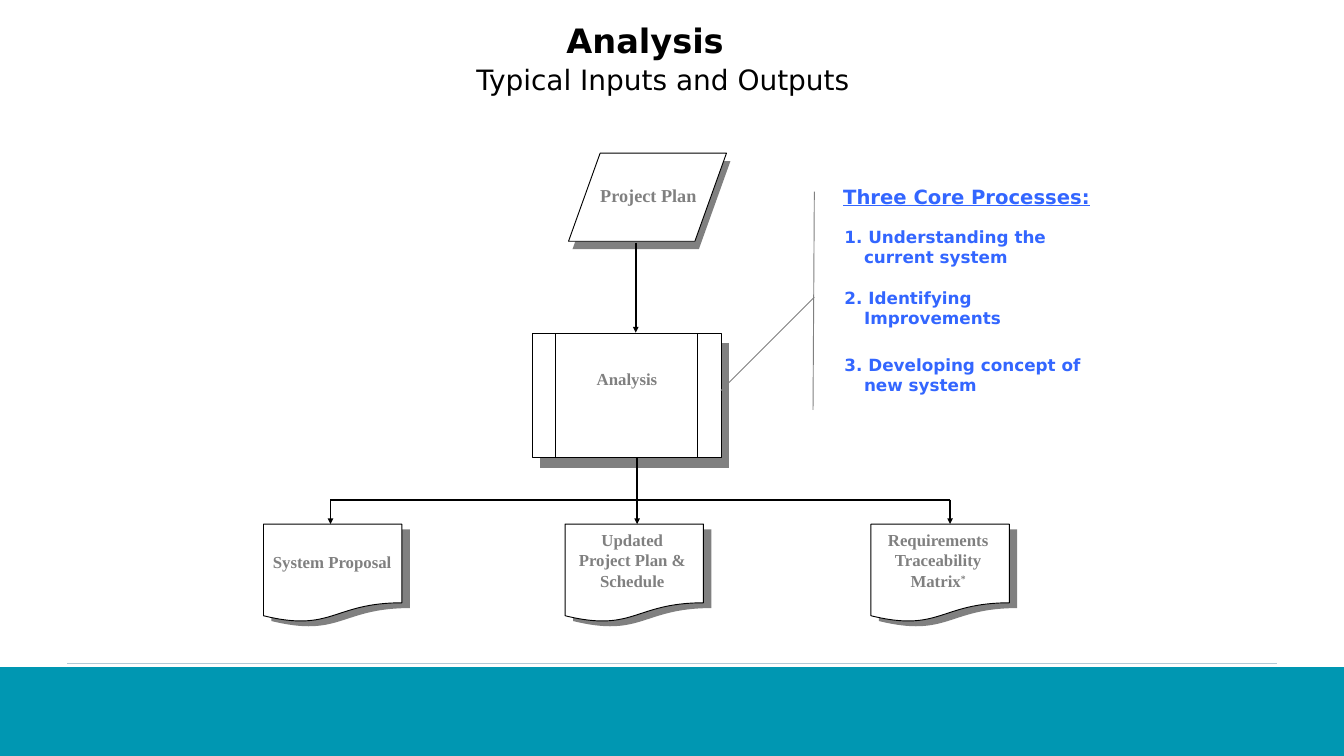
from lxml.etree import SubElement
from pptx import Presentation
from pptx.dml.color import RGBColor
from pptx.enum.shapes import MSO_CONNECTOR, MSO_SHAPE
from pptx.enum.text import PP_ALIGN
from pptx.oxml.ns import qn
from pptx.util import Cm, Pt

SANS = "DejaVu Sans"
SERIF = "Times New Roman"
BLACK, WHITE, GREY = "000000", "FFFFFF", "808080"
BLUE, TEAL, PALE = "3366FF", "0097B2", "B2C9D5"


def colour(value):
    return RGBColor.from_string(value)


def add_block(page, kind, left, top, width, height, fill, outline=None):
    block = page.shapes.add_shape(kind, Cm(left), Cm(top), Cm(width), Cm(height))
    block.shadow.inherit = False
    block.fill.solid()
    block.fill.fore_color.rgb = colour(fill)
    if outline:
        block.line.color.rgb = colour(outline)
        block.line.width = Pt(1)
    else:
        block.line.fill.background()


def add_line(page, start, end, shade=BLACK, weight=2, arrow=False):
    line = page.shapes.add_connector(
        MSO_CONNECTOR.STRAIGHT, *[Cm(value) for value in (*start, *end)])
    line.line.color.rgb = colour(shade)
    line.line.width = Pt(weight)
    if arrow:
        SubElement(line.line._get_or_add_ln(), qn("a:tailEnd"), type="triangle")
    SubElement(line._element.spPr, qn("a:effectLst"))


def add_text(page, text, left, top, width, height, size, font, shade,
             bold=True, align=PP_ALIGN.LEFT):
    box = page.shapes.add_textbox(Cm(left), Cm(top), Cm(width), Cm(height))
    box.text_frame.word_wrap = True
    para = box.text_frame.paragraphs[0]
    para.add_run().text = text
    para.alignment = align
    para.font.size = Pt(size)
    para.font.name = font
    para.font.bold = bold
    para.font.color.rgb = colour(shade)
    return para


def add_node(page, kind, box, shadow, label, label_box, size=18):
    left, top, width, height = box
    shift_x, shift_y = shadow
    label_left, label_top, label_width, label_height = label_box
    add_block(page, kind, left + shift_x, top + shift_y, width, height, GREY)
    add_block(page, kind, left, top, width, height, WHITE, BLACK)
    return add_text(page, label, left + label_left, top + label_top,
                    label_width, label_height, size, SERIF, GREY,
                    align=PP_ALIGN.CENTER)


def add_heading(page, left, top, width):
    add_text(page, "Analysis", left, top, width, 1.93, 36, SANS, BLACK,
             align=PP_ALIGN.CENTER)
    add_text(page, "Typical Inputs and Outputs", left + 0.68, top + 1.6, width,
             1.93, 30, SANS, BLACK, bold=False, align=PP_ALIGN.CENTER)


def add_process(page, left, top):
    add_node(page, MSO_SHAPE.FLOWCHART_PREDEFINED_PROCESS,
             (left, top + 6.81, 7.14, 4.7), (0.3, 0.38),
             "Analysis", (1.22, 1.22, 4.72, 1.32))
    add_node(page, MSO_SHAPE.FLOWCHART_DATA,
             (left + 1.37, top, 5.97, 3.33), (0.15, 0.3),
             "Project Plan", (0.66, 1.04, 4.72, 1.4), 19.5)
    add_line(page, (left + 3.91, top + 3.38), (left + 3.91, top + 6.78), arrow=True)


def add_outputs(page, left, top):
    documents = [
        (0, "System Proposal", (-0.25, 0.91, 5.69, 1.68), 2.53),
        (11.4, "Updated Project Plan & Schedule", (0.18, 0.1, 4.72, 3.23), 2.72),
        (22.96, "Requirements Traceability Matrix", (0.18, 0.1, 4.72, 3.23), 2.99),
    ]
    bar = top - 0.92
    for offset, label, label_box, drop in documents:
        para = add_node(page, MSO_SHAPE.FLOWCHART_DOCUMENT,
                        (left + offset, top, 5.23, 3.71), (0.3, 0.2),
                        label, label_box)
        centre = left + offset + drop
        add_line(page, (centre, bar), (centre, top), arrow=True)
    mark = para.add_run()
    mark.text = "*"
    mark.font._element.set("baseline", "30000")
    add_line(page, (left + 2.53, bar), (left + 25.95, bar))
    add_line(page, (left + 14.12, top - 2.5), (left + 14.12, bar))


def add_core_processes(page, left, top):
    add_text(page, "Three Core Processes:", left, top, 11.2, 1.4, 21, SANS,
             BLUE).font.underline = True
    steps = [
        (1.55, "1. Understanding the current system"),
        (3.86, "2. Identifying Improvements"),
        (6.4, "3. Developing concept of new system"),
    ]
    for offset, step in steps:
        para = add_text(page, step, left + 0.05, top + offset, 10.41, 1.78, 18,
                        SANS, BLUE)
        properties = para._p.get_or_add_pPr()
        properties.set("marL", str(Cm(0.74)))
        properties.set("indent", str(-Cm(0.74)))
    add_line(page, (left - 4.37, top + 7.88), (left - 0.84, top + 4.35), GREY, 1)
    add_line(page, (left - 0.84, top + 0.36), (left - 0.89, top + 8.61), GREY, 1)


def add_footer(page, top, width, height):
    add_line(page, (width - 2.54, top - 0.13), (2.54, top - 0.13), PALE, 1.25)
    add_block(page, MSO_SHAPE.RECTANGLE, 0, top, width, height, TEAL)


def main():
    deck = Presentation()
    deck.slide_width, deck.slide_height = Cm(50.8), Cm(28.575)
    page = deck.slides.add_slide(deck.slide_layouts[6])
    add_process(page, 20.12, 5.79)
    add_outputs(page, 9.96, 19.81)
    add_heading(page, 7.2, 0.64, 34.37)
    add_core_processes(page, 31.62, 6.88)
    add_footer(page, 25.22, 50.8, 3.36)
    deck.save("out.pptx")


if __name__ == "__main__":
    main()
